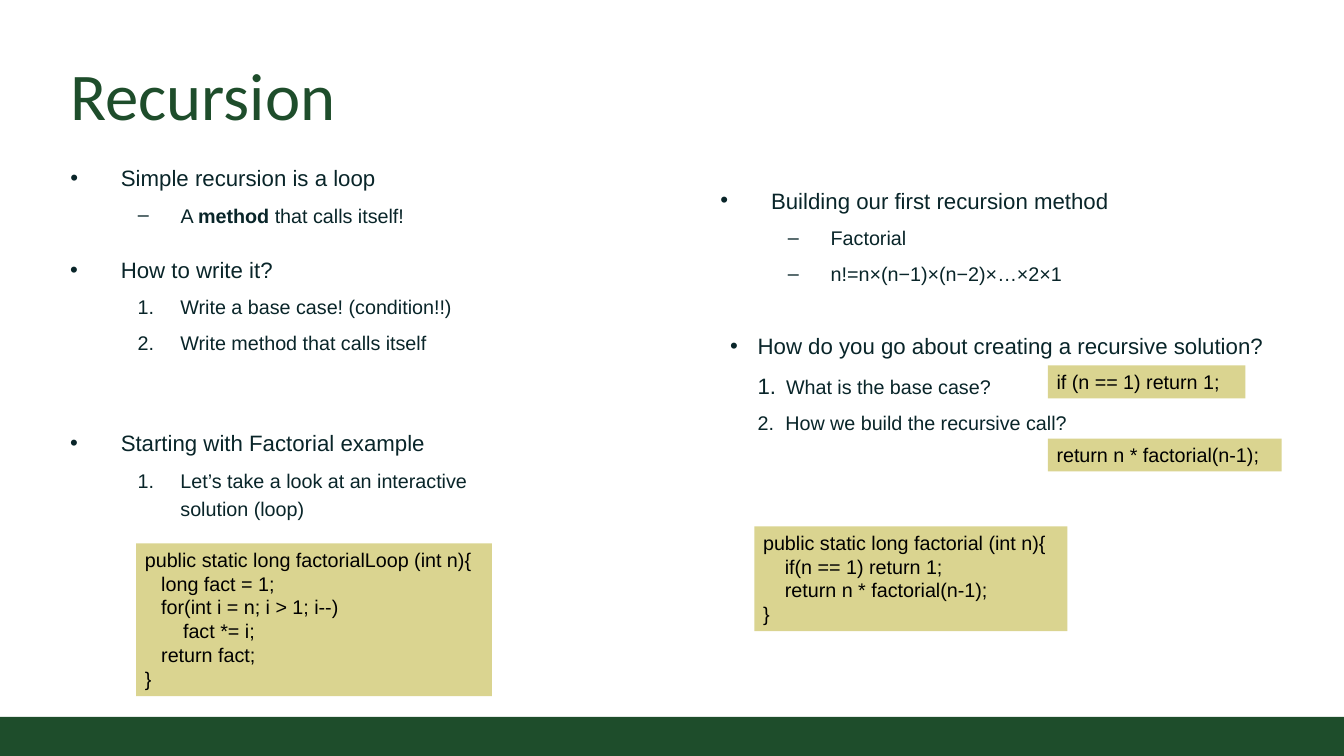
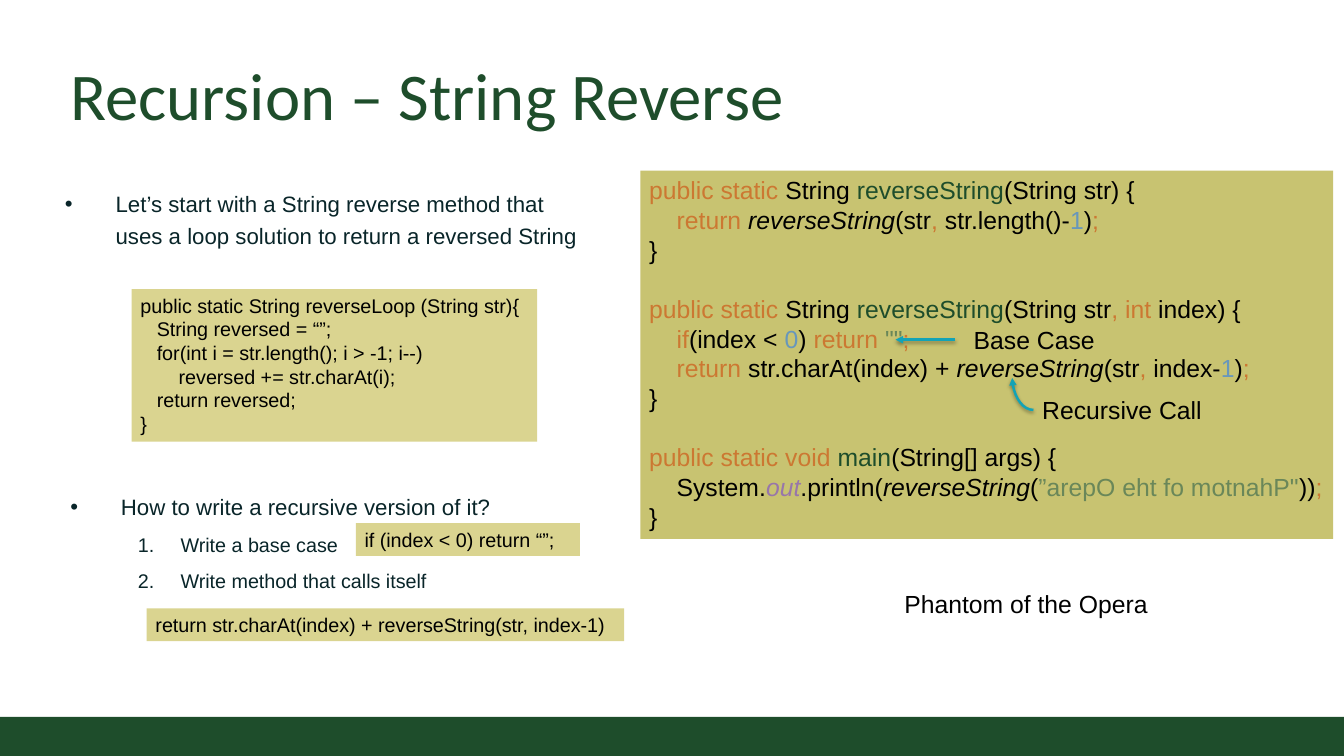
from copy import deepcopy
from dataclasses import dataclass

from lxml.etree import SubElement
from pptx import Presentation
from pptx.dml.color import RGBColor
from pptx.enum.shapes import MSO_CONNECTOR, MSO_SHAPE
from pptx.enum.text import MSO_ANCHOR, MSO_AUTO_SIZE, PP_ALIGN
from pptx.oxml import parse_xml
from pptx.oxml.ns import nsdecls, qn
from pptx.util import Pt


@dataclass(frozen=True)
class Theme:
    green: str = "1E4D2B"
    body: str = "092529"
    black: str = "000000"
    sand: str = "DAD490"
    olive: str = "C8C371"
    teal: str = "12A3B6"
    keyword: str = "CC7832"
    number: str = "6897BB"
    string: str = "6A8759"
    field: str = "9876AA"
    title_font: str = "Calibri"
    font: str = "Arial"
    title_size: int = 54
    list_size: int = 18
    small_size: int = 16
    large_size: int = 20


THEME = Theme()
WIDTH, HEIGHT, BAND = 1088, 612, 31.7
TITLE_BOX = (49.7, 35.3, 989.3, 79.9)
INSET = 7.2
CODE_LINE = 19.4

# Run formats for highlighted code
PLAIN = {"color": THEME.black}
KEY = {"color": THEME.keyword}
NAME = {"color": THEME.green}
CALL = {"color": THEME.black, "italic": True}
NUMBER = {"color": THEME.number}
STRING = {"color": THEME.string}
FIELD = {"color": THEME.field, "italic": True}
WIDE = {"size": THEME.list_size}

# List styles by marker: (level, left margin, first-line indent)
INDENTS = {"•": (0, 41, -41), "–": (1, 89.3, -34.6), "1.": (1, 89.3, -34.6)}
TIGHT_INDENTS = {"•": (0, 22.3, -22.3), "1.": (1, 40.3, -18)}

# Content: lists are (box, placeholder index or None, items), items are (marker, text)
SLIDES = [
    {
        "title": "Recursion",
        "lists": [
            ((49.7, 121.7, 375, 67.7), 1, [
                ("•", "Simple recursion is a loop"),
                ("–", [("A ", {}), ("method", {"bold": True}), (" that calls itself!", {})]),
            ]),
            ((49.7, 195.8, 382.3, 97.2), None, [
                ("•", "How to write it?"),
                ("1.", "Write a base case! (condition!!)"),
                ("1.", "Write method that calls itself"),
            ]),
            ((576, 139.7, 382.3, 97.2), 2, [
                ("•", "Building our first recursion method"),
                ("–", "Factorial"),
                ("–", "n!=n×(n−1)×(n−2)×…×2×1"),
            ]),
            ((49.7, 336.2, 382.3, 90.7), None, [
                ("•", "Starting with Factorial example"),
                ("1.", "Let’s take a look at an interactive solution (loop)"),
            ]),
        ],
        "tight_lists": [
            ((583.9, 261.4, 464.4, 92.2), None, [
                ("•", "How do you go about creating a recursive solution?"),
                ("1.", [(" ", WIDE), ("What is the base case?", {})]),
                ("1.", " How we build the recursive call?"),
            ]),
        ],
        "code": [
            (848.2, 295.9, 160, ["if (n == 1) return 1;"]),
            (848.2, 355, 189.4, ["return n * factorial(n-1);"]),
            (610.6, 426.2, 253.4, [
                "public static long factorial (int n){",
                "    if(n == 1) return 1;",
                "    return n * factorial(n-1);",
                "}",
            ]),
            (110.2, 439.9, 288, [
                "public static long factorialLoop (int n){",
                "   long fact = 1;",
                "   for(int i = n; i > 1; i--)",
                "       fact *= i;",
                "   return fact;",
                "}",
            ]),
        ],
    },
    {
        "title": "Recursion – String Reverse",
        "lists": [
            ((45.4, 142.6, 443.5, 64.1), 1, [
                ("•", "Let’s start with a String reverse method that uses a loop "
                      "solution to return a reversed String"),
            ]),
            ((49.7, 388.1, 443.5, 97.2), 2, [
                ("•", "How to write a recursive version of it?"),
                ("1.", "Write a base case"),
                ("1.", "Write method that calls itself"),
            ]),
        ],
        "code": [
            (106.6, 234, 328.3, [
                "public static String reverseLoop (String str){",
                "   String reversed = “”;",
                "   for(int i = str.length(); i > -1; i--)",
                "       reversed += str.charAt(i);",
                "   return reversed;",
                "}",
            ]),
            (288, 423.4, 181.4, ["if (index < 0) return “”;"]),
            (118.8, 492.5, 386.6, ["return str.charAt(index) + reverseString(str, index-1)"]),
        ],
        "highlighted": ((518.4, 138.2, 560.9, 298.1), [
            ("public static ", KEY), ("String ", PLAIN), ("reverseString", NAME),
            ("(String str) {\n    ", PLAIN),
            ("return ", KEY), ("reverseString", CALL), ("(str", PLAIN), (", ", KEY),
            ("str.length()-", PLAIN), ("1", NUMBER), (")", PLAIN), (";\n", KEY),
            ("}\n\n", PLAIN),
            ("public static ", KEY), ("String ", PLAIN), ("reverseString", NAME),
            ("(String str", PLAIN), (", int ", KEY), ("index) {\n    ", PLAIN),
            ("if", KEY), ("(index < ", PLAIN), ("0", NUMBER), (") ", PLAIN),
            ("return ", KEY), ('""', STRING), (";\n    return ", KEY),
            ("str.charAt(index) + ", PLAIN), ("reverseString", CALL), ("(str", PLAIN),
            (", ", KEY), ("index-", PLAIN), ("1", NUMBER), (")", PLAIN), (";\n", KEY),
            ("}\n\n", PLAIN),
            ("public static void ", KEY), ("main", NAME),
            ("(String[] args) {\n    System.", PLAIN), ("out", FIELD), (".println(", PLAIN),
            ("reverseString", CALL), ("(", PLAIN), ('”arepO eht fo motnahP"', STRING),
            ("))", PLAIN), (";\n", KEY), ("}", PLAIN),
        ]),
        "labels": [
            ((781.2, 259.2, 113, 31.7), "Base Case"),
            ((836.6, 316.1, 144.7, 31.7), "Recursive Call"),
            ((725, 473, 218.2, 31.7), "Phantom of the Opera"),
        ],
        "arrows": [
            ("line", (773.3, 275), (725, 275)),
            ("curvedConnector2", (836.6, 331.9), (819.4, 306)),
        ],
    },
]


def points(values):
    return [Pt(value) for value in values]


def write(paragraph, text, size=THEME.small_size, color=THEME.black, bold=False, italic=False):
    """Write a string, or (string, format) runs; each newline becomes a line break."""
    base = {"size": size, "color": color, "bold": bold, "italic": italic}
    for content, changes in [(text, {})] if isinstance(text, str) else text:
        style = base | changes
        for index, piece in enumerate(content.split("\n")):
            if index:
                paragraph.add_line_break()
                paragraph._p[-1].append(deepcopy(run._r.rPr))
            if piece:
                run = paragraph.add_run()
                run.text = piece
                font = run.font
                font.name, font.size = THEME.font, Pt(style["size"])
                font.bold, font.italic = style["bold"], style["italic"]
                font.color.rgb = RGBColor.from_string(style["color"])


def set_frame(frame, wrap=True, inset=INSET / 2, anchor=MSO_ANCHOR.TOP):
    frame.auto_size = MSO_AUTO_SIZE.NONE
    frame.word_wrap = wrap
    frame.vertical_anchor = anchor
    frame.margin_left = frame.margin_right = Pt(INSET)
    frame.margin_top = frame.margin_bottom = Pt(inset)


def place(shape, box):
    shape.left, shape.top, shape.width, shape.height = points(box)


def add_panel(shapes, box, fill):
    panel = shapes.add_shape(MSO_SHAPE.RECTANGLE, *points(box))
    panel.shadow.inherit = False
    panel.fill.solid()
    panel.fill.fore_color.rgb = RGBColor.from_string(fill)
    panel.line.fill.background()
    return panel


def add_code(slide, box, text, fill=THEME.sand, size=THEME.small_size, wrap=False):
    frame = add_panel(slide.shapes, box, fill).text_frame
    set_frame(frame, wrap)
    frame.paragraphs[0].alignment = PP_ALIGN.LEFT
    write(frame.paragraphs[0], text, size=size)


def add_list(slide, box, index, items, indents=INDENTS, inset=INSET):
    if index is None:
        shape = slide.shapes.add_textbox(*points(box))
    else:
        shape = slide.placeholders[index]
        place(shape, box)
    frame = shape.text_frame
    set_frame(frame, inset=inset)
    for number, (marker, text) in enumerate(items):
        paragraph = frame.add_paragraph() if number else frame.paragraphs[0]
        level, margin, indent = indents[marker]
        paragraph.level, paragraph.line_spacing = level, 1.2
        paragraph.space_before, paragraph.space_after = Pt(0), Pt(6)
        properties = paragraph._p.get_or_add_pPr()
        properties.set("marL", str(Pt(margin)))
        properties.set("indent", str(Pt(indent)))
        if marker == "1.":
            SubElement(properties, qn("a:buAutoNum"), type="arabicPeriod")
        else:
            SubElement(properties, qn("a:buFont"), typeface=THEME.font)
            SubElement(properties, qn("a:buChar"), char=marker)
        size = THEME.small_size if level else THEME.list_size
        write(paragraph, text, size=size, color=THEME.body)


def add_arrow(slide, preset, start, end):
    arrow = slide.shapes.add_connector(MSO_CONNECTOR.STRAIGHT, *points(start + end))
    properties = arrow._element.spPr
    properties.find(qn("a:prstGeom")).set("prst", preset)
    arrow.line.width = Pt(2)
    arrow.line.color.rgb = RGBColor.from_string(THEME.teal)
    SubElement(properties.find(qn("a:ln")), qn("a:tailEnd"), type="triangle")
    properties.append(parse_xml(
        f'<a:effectLst {nsdecls("a")}><a:outerShdw blurRad="{Pt(3.1)}" dist="{Pt(1.6)}" '
        f'dir="5400000" rotWithShape="0"><a:srgbClr val="{THEME.black}">'
        '<a:alpha val="38000"/></a:srgbClr></a:outerShdw></a:effectLst>'))


def style_layout(presentation, layout):
    """Give the shared title its place and type."""
    title = layout.placeholders[0]
    place(title, TITLE_BOX)
    set_frame(title.text_frame, inset=INSET, anchor=MSO_ANCHOR.BOTTOM)
    level = presentation.slide_master.element.xpath(".//p:titleStyle/a:lvl1pPr")[0]
    level.set("algn", "l")
    level.replace(level.find(qn("a:defRPr")), parse_xml(
        f'<a:defRPr {nsdecls("a")} sz="{THEME.title_size * 100}"><a:solidFill>'
        f'<a:srgbClr val="{THEME.green}"/></a:solidFill>'
        f'<a:latin typeface="{THEME.title_font}"/></a:defRPr>'))


def build_slide(presentation, layout, content):
    slide = presentation.slides.add_slide(layout)
    slide.shapes.title.text = content["title"]
    for box, index, items in content["lists"]:
        add_list(slide, box, index, items)
    for box, index, items in content.get("tight_lists", []):
        add_list(slide, box, index, items, TIGHT_INDENTS, INSET / 2)
    if "highlighted" in content:
        box, runs = content["highlighted"]
        add_code(slide, box, runs, THEME.olive, THEME.large_size, wrap=True)
    for left, top, width, lines in content["code"]:
        height = len(lines) * CODE_LINE + INSET
        add_code(slide, (left, top, width, height), "\n".join(lines))
    for box, text in content.get("labels", []):
        frame = slide.shapes.add_textbox(*points(box)).text_frame
        set_frame(frame, wrap=False)
        write(frame.paragraphs[0], text, size=THEME.large_size)
    for arrow in content.get("arrows", []):
        add_arrow(slide, *arrow)
    return slide


def main():
    presentation = Presentation()
    presentation.slide_width, presentation.slide_height = Pt(WIDTH), Pt(HEIGHT)
    layout = presentation.slide_layouts.get_by_name("Two Content")
    style_layout(presentation, layout)
    slides = [build_slide(presentation, layout, content) for content in SLIDES]
    # The footer band belongs to the layout, behind its placeholders
    band = add_panel(slides[0].shapes, (0, HEIGHT - BAND, WIDTH, BAND), THEME.green)
    layout.shapes._spTree.insert(2, band._element)
    presentation.save("out.pptx")


if __name__ == "__main__":
    main()
